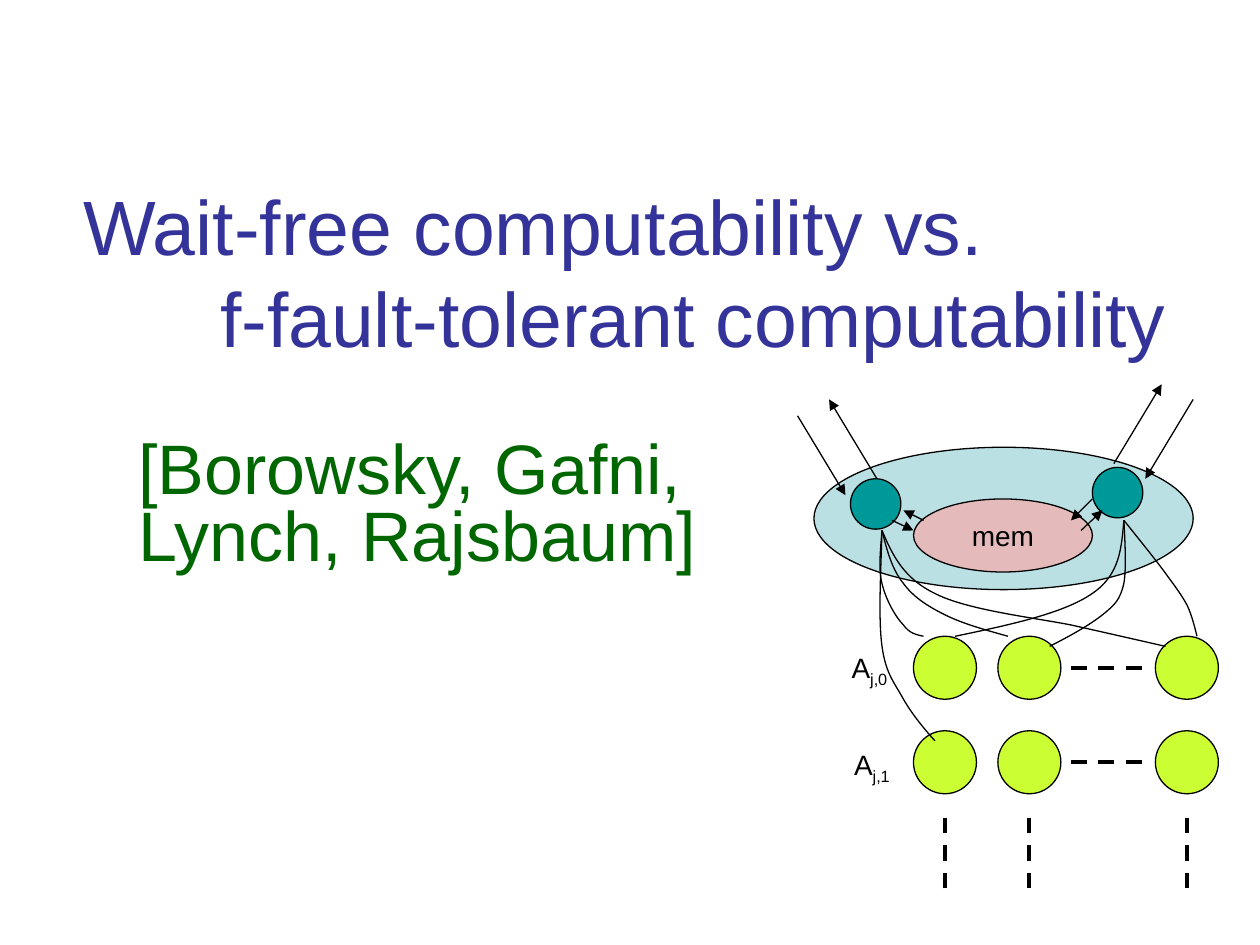
import pptx
import pptx.util
import pptx.dml.color
import pptx.enum.dml
import pptx.enum.shapes
import pptx.enum.text
import pptx.oxml
import pptx.oxml.ns
import lxml.etree

Inches = pptx.util.Inches
Pt = pptx.util.Pt
RGBColor = pptx.dml.color.RGBColor
Align = pptx.enum.text.PP_ALIGN
Anchor = pptx.enum.text.MSO_ANCHOR
qn = pptx.oxml.ns.qn

BLACK = RGBColor(0x00, 0x00, 0x00)
NAVY = RGBColor(0x33, 0x33, 0x99)
GREEN = RGBColor(0x00, 0x66, 0x00)
PALE = RGBColor(0xBB, 0xE0, 0xE3)
TEAL = RGBColor(0x00, 0x99, 0x99)
PINK = RGBColor(0xE4, 0xBB, 0xBA)
LIME = RGBColor(0xCC, 0xFF, 0x33)


class Board:
    font = "Arial"
    thin = Pt(0.75)
    thick = Pt(2.25)

    def __init__(self, slide):
        self.slide = slide
        self.pen = slide.shapes

    def group(self):
        self.pen = self.slide.shapes.add_group_shape().shapes

    def close(self):
        self.pen = self.slide.shapes

    def style(self, para, size, color):
        for run in para.runs:
            run.font.name = self.font
            run.font.size = Pt(size)
            run.font.color.rgb = color

    def text(self, box, lines, size, color, wrap=True):
        frame = self.pen.add_textbox(*map(Inches, box)).text_frame
        frame.word_wrap = wrap
        frame.text = "\n".join(lines)
        for para in frame.paragraphs:
            self.style(para, size, color)
        return frame

    def label(self, left, top, base, sub):
        frame = self.text((left, top, 0.48, 0.41), [base], 16, BLACK, False)
        frame.auto_size = pptx.enum.text.MSO_AUTO_SIZE.SHAPE_TO_FIT_TEXT
        frame.margin_right = 0
        para = frame.paragraphs[0]
        run = para.add_run()
        run.text = sub
        self.style(para, 16, BLACK)
        run.font._element.set("baseline", "-25000")

    def oval(self, left, top, width, height, fill, text=""):
        kind = pptx.enum.shapes.MSO_SHAPE.OVAL
        shape = self.pen.add_shape(
            kind, Inches(left), Inches(top), Inches(width), Inches(height))
        shape.shadow.inherit = False
        shape.fill.solid()
        shape.fill.fore_color.rgb = fill
        shape.line.color.rgb = BLACK
        shape.line.width = self.thin
        if text:
            frame = shape.text_frame
            frame.word_wrap = False
            frame.vertical_anchor = Anchor.MIDDLE
            frame.text = text
            frame.paragraphs[0].alignment = Align.CENTER
            self.style(frame.paragraphs[0], 16, BLACK)

    def line(self, x1, y1, x2, y2, width):
        kind = pptx.enum.shapes.MSO_CONNECTOR.STRAIGHT
        link = self.pen.add_connector(
            kind, Inches(x1), Inches(y1), Inches(x2), Inches(y2))
        link.line.color.rgb = BLACK
        link.line.width = width
        lxml.etree.SubElement(link._element.spPr, qn("a:effectLst"))
        return link.line

    def arrow(self, x1, y1, x2, y2):
        line = self.line(x1, y1, x2, y2, self.thin)
        tip = lxml.etree.SubElement(line._get_or_add_ln(), qn("a:tailEnd"))
        tip.set("type", "triangle")

    def dash(self, x1, y1, x2, y2):
        line = self.line(x1, y1, x2, y2, self.thick)
        line.dash_style = pptx.enum.dml.MSO_LINE.DASH

    def curve(self, *points):
        spots = [(Inches(x), Inches(y)) for x, y in points]
        form = self.pen.build_freeform(*spots[0])
        form.add_line_segments(spots[1:], close=False)
        shape = form.convert_to_shape()
        shape.shadow.inherit = False
        shape.fill.background()
        shape.line.color.rgb = BLACK
        shape.line.width = self.thin
        steps = list(shape._element.iter(qn("a:lnTo")))
        for i in range(0, len(steps), 3):
            bend = lxml.etree.Element(qn("a:cubicBezTo"))
            steps[i].addprevious(bend)
            for step in steps[i:i + 3]:
                bend.append(step[0])
                step.getparent().remove(step)


def main():
    deck = pptx.Presentation()
    deck.slide_width = Inches(10)
    deck.slide_height = Inches(7.5)
    board = Board(deck.slides.add_slide(deck.slide_layouts[6]))

    title = board.text(
        (0.5, 0.3, 9, 3.7),
        ["Wait-free computability vs.", "f-fault-tolerant computability"],
        44, NAVY)
    title.vertical_anchor = Anchor.MIDDLE
    title.margin_left = Inches(0.16)
    title.margin_right = Inches(0.24)
    title.paragraphs[1].alignment = Align.RIGHT

    board.group()
    board.oval(6.46, 3.55, 3.01, 1.13, PALE)
    for ends in ((6.33, 3.3, 6.71, 3.93), (6.96, 3.8, 6.58, 3.17),
                 (9.47, 3.17, 9.09, 3.8), (8.84, 3.68, 9.22, 3.05)):
        board.arrow(*ends)
    for left, top in ((6.75, 3.8), (8.67, 3.71)):
        board.oval(left, top, 0.4, 0.4, TEAL)
    board.oval(7.25, 3.96, 1.42, 0.58, PINK, "mem")
    for ends in ((7.08, 4.13, 7.25, 4.21), (7.33, 4.13, 7.17, 4.05),
                 (8.67, 3.96, 8.5, 4.13), (8.58, 4.21, 8.75, 4.05)):
        board.arrow(*ends)

    cols = (7.5, 8.17, 9.42)
    for row in (5.3, 6.05):
        for col in cols:
            board.oval(col - 0.25, row - 0.25, 0.5, 0.5, LIME)
        board.dash(8.5, row, 9.08, row)
    for col in cols:
        board.dash(col, 7.05, col, 6.46)
    board.label(6.66, 5.11, "A", "j,0")
    board.label(6.68, 5.88, "A", "j,1")

    west, east = (7, 4.21), (8.92, 4.13)
    board.curve(west, (6.99, 4.56), (6.97, 4.91), (7, 5.13),
                (7.03, 5.35), (7.1, 5.42), (7.17, 5.55),
                (7.24, 5.67), (7.33, 5.78), (7.42, 5.88))
    board.curve(east, (9.04, 4.28), (9.17, 4.44), (9.25, 4.55),
                (9.33, 4.66), (9.37, 4.71), (9.42, 4.8),
                (9.46, 4.88), (9.49, 5.01), (9.5, 5.05))
    board.curve(east, (8.93, 4.32), (8.94, 4.51), (8.92, 4.63),
                (8.89, 4.76), (8.85, 4.8), (8.75, 4.88),
                (8.65, 4.96), (8.49, 5.05), (8.33, 5.13))
    board.curve(east, (8.9, 4.35), (8.89, 4.56), (8.67, 4.71),
                (8.44, 4.87), (8.01, 4.96), (7.58, 5.05))
    board.curve(west, (6.99, 4.36), (6.97, 4.51), (7, 4.63),
                (7.03, 4.76), (7.11, 4.9), (7.17, 4.96),
                (7.22, 5.03), (7.28, 5.04), (7.33, 5.05))
    board.curve(west, (7.04, 4.37), (7.08, 4.52), (7.17, 4.63),
                (7.25, 4.74), (7.36, 4.81), (7.5, 4.88),
                (7.64, 4.95), (7.82, 5), (8, 5.05))
    board.curve(west, (7.08, 4.4), (7.17, 4.59), (7.42, 4.71),
                (7.67, 4.84), (8.19, 4.9), (8.5, 4.96),
                (8.81, 5.03), (9.03, 5.08), (9.25, 5.13))
    board.close()

    names = board.text((0.5, 3.45, 5.45, 3.63),
                       ["[Borowsky, Gafni, Lynch, Rajsbaum]"], 40, GREEN)
    names.margin_left = Inches(0.6)
    names.paragraphs[0].line_spacing = 0.8
    names.paragraphs[0].space_before = Pt(10)

    deck.save("out.pptx")


if __name__ == "__main__":
    main()
